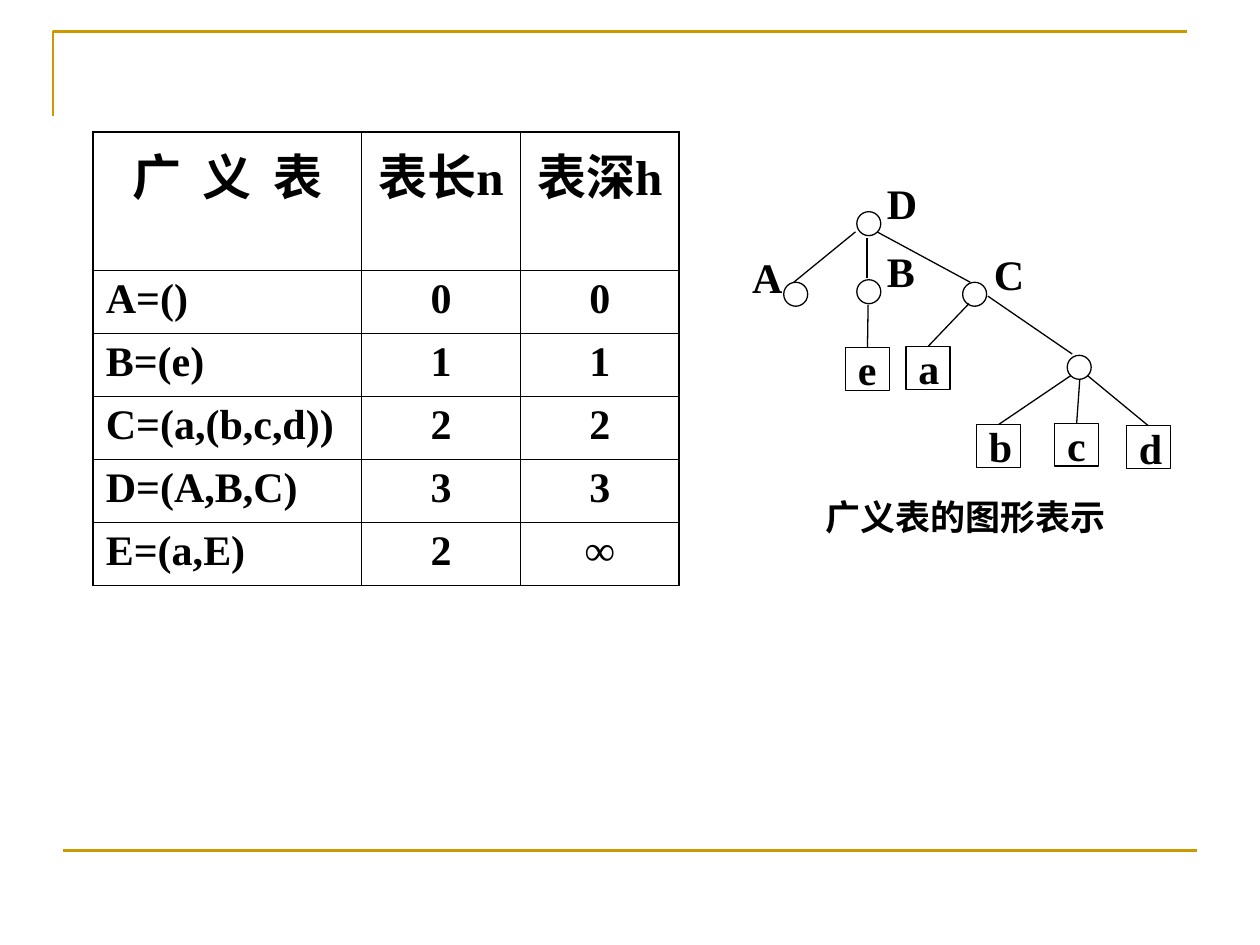
from typing import NamedTuple, Optional

from lxml import etree
from pptx import Presentation
from pptx.dml.color import RGBColor
from pptx.enum.shapes import MSO_CONNECTOR, MSO_SHAPE
from pptx.enum.text import MSO_ANCHOR, PP_ALIGN
from pptx.oxml.ns import qn
from pptx.util import Inches, Pt

LEFT, CENTER = PP_ALIGN.LEFT, PP_ALIGN.CENTER
MIDDLE = MSO_ANCHOR.MIDDLE
RECTANGLE, OVAL = MSO_SHAPE.RECTANGLE, MSO_SHAPE.OVAL
STRAIGHT = MSO_CONNECTOR.STRAIGHT
BLACK, GOLD = "000000", "CC9900"
SERIF, SANS, CHINESE = "Times New Roman", "Arial", "Noto Sans CJK SC"
TOP_SIDE = 0
ATOM_WIDTH, ATOM_HEIGHT, NODE_SIZE = 0.35, 0.34, 0.19
OUTER_BORDER, INNER_BORDER = 1.08, 0.45


class Place(NamedTuple):
    text: str
    left: float
    top: float


class Edge(NamedTuple):
    start: tuple[float, float]
    end: tuple[float, float]
    atom: Optional[str] = None


COLUMN_WIDTHS = (2.13, 1.26, 1.26)
ROW_HEIGHTS = (1.03, 0.5, 0.5, 0.5, 0.5, 0.5)
ROWS = (
    ("广 义 表", "表长n", "表深h"),
    ("A=()", "0", "0"),
    ("B=(e)", "1", "1"),
    ("C=(a,(b,c,d))", "2", "2"),
    ("D=(A,B,C)", "3", "3"),
    ("E=(a,E)", "2", "∞"),
)
ATOMS = (
    Place("a", 7.19, 2.75),
    Place("b", 7.75, 3.37),
    Place("e", 6.71, 2.76),
    Place("c", 8.37, 3.36),
    Place("d", 8.94, 3.38),
)
LABELS = (
    Place("A", 5.87, 2.03),
    Place("B", 6.94, 1.98),
    Place("C", 7.79, 2.0),
    Place("D", 6.94, 1.44),
)
NODES = ((6.22, 2.24), (6.8, 2.22), (7.64, 2.24), (8.47, 2.82), (6.8, 1.68))
EDGES = (
    Edge((6.88, 1.89), (6.88, 2.21)),
    Edge((6.79, 1.84), (6.3, 2.24)),
    Edge((6.96, 1.84), (7.7, 2.24)),
    Edge((7.84, 2.35), (8.51, 2.81)),
    Edge((6.89, 2.42), (6.89, 2.76), "e"),
    Edge((7.69, 2.41), (7.36, 2.75), "a"),
    Edge((8.5, 2.98), (7.92, 3.37), "b"),
    Edge((8.57, 3.01), (8.55, 3.36), "c"),
    Edge((8.63, 2.98), (9.12, 3.38), "d"),
)


def color(value: str) -> RGBColor:
    return RGBColor.from_string(value)


def write_text(frame, text: str, *, size: float = 24, font: str = SERIF,
               align=LEFT, wrap: bool = True, spacing: float = 0) -> None:
    frame.word_wrap = wrap
    paragraph = frame.paragraphs[0]
    paragraph.alignment = align
    run = paragraph.add_run()
    run.text = text
    run.font.size = Pt(size)
    run.font.bold = True
    run.font.name = font
    run.font.color.rgb = color(BLACK)
    properties = run.font._element
    properties.find(qn("a:latin")).addnext(
        etree.Element(qn("a:ea"), typeface=CHINESE))
    if spacing:
        properties.set("spc", str(round(spacing * 100)))


def set_outline(shape, value: str, width: float) -> None:
    shape.line.color.rgb = color(value)
    shape.line.width = Pt(width)


def add_outlined(slide, kind, left: float, top: float, width: float, height: float):
    shape = slide.shapes.add_shape(
        kind, Inches(left), Inches(top), Inches(width), Inches(height))
    shape.shadow.inherit = False
    shape.fill.background()
    set_outline(shape, BLACK, 0.75)
    return shape


def add_line(slide, start: tuple[float, float], end: tuple[float, float],
             value: str = BLACK, width: float = 0.75):
    connector = slide.shapes.add_connector(
        STRAIGHT, *(Inches(length) for length in start + end))
    set_outline(connector, value, width)
    etree.SubElement(connector._element.spPr, qn("a:effectLst"))
    return connector


def add_frame_lines(slide) -> None:
    builder = slide.shapes.build_freeform(Inches(0.42), Inches(0.92))
    builder.add_line_segments(
        [(Inches(0.42), Inches(0.25)), (Inches(9.42), Inches(0.25))], close=False)
    corner = builder.convert_to_shape()
    corner.shadow.inherit = False
    corner.fill.background()
    set_outline(corner, GOLD, 1.5)
    add_line(slide, (0.5, 6.75), (9.5, 6.75), GOLD, 1.5)


def set_borders(cell, widths: dict[str, float]) -> None:
    properties = cell._tc.get_or_add_tcPr()
    for position, (side, width) in enumerate(widths.items()):
        border = etree.Element(qn(f"a:{side}"), w=str(Pt(width)))
        fill = etree.SubElement(border, qn("a:solidFill"))
        etree.SubElement(fill, qn("a:srgbClr"), val=BLACK)
        properties.insert(position, border)


def add_list_table(slide) -> None:
    table = slide.shapes.add_table(
        len(ROWS), len(COLUMN_WIDTHS), Inches(0.74), Inches(1.05),
        Inches(sum(COLUMN_WIDTHS)), Inches(sum(ROW_HEIGHTS))).table
    table.first_row = False
    table.horz_banding = False
    for column, width in zip(table.columns, COLUMN_WIDTHS):
        column.width = Inches(width)
    for row, height in zip(table.rows, ROW_HEIGHTS):
        row.height = Inches(height)
    last_column = len(COLUMN_WIDTHS) - 1
    for row_index, texts in enumerate(ROWS):
        is_header = row_index == 0
        for column_index, text in enumerate(texts):
            is_first = column_index == 0
            cell = table.cell(row_index, column_index)
            cell.fill.background()
            write_text(cell.text_frame, text, size=28 if is_header else 24,
                       align=CENTER if is_header or not is_first else LEFT,
                       spacing=3 if is_header and is_first else 0)
            set_borders(cell, {
                "lnL": OUTER_BORDER if is_first else INNER_BORDER,
                "lnR": OUTER_BORDER if column_index == last_column else INNER_BORDER,
                "lnT": OUTER_BORDER if is_header else INNER_BORDER,
                "lnB": INNER_BORDER,
            })


def add_text_box(slide, place: Place, width: float, height: float, **text_format) -> None:
    box = slide.shapes.add_textbox(
        Inches(place.left), Inches(place.top), Inches(width), Inches(height))
    box.text_frame.vertical_anchor = MIDDLE
    write_text(box.text_frame, place.text, **text_format)


def add_tree(slide) -> None:
    atoms = {}
    for atom in ATOMS:
        shape = add_outlined(
            slide, RECTANGLE, atom.left, atom.top, ATOM_WIDTH, ATOM_HEIGHT)
        shape.text_frame.vertical_anchor = MIDDLE
        write_text(shape.text_frame, atom.text, wrap=False)
        atoms[atom.text] = shape
    for left, top in NODES:
        add_outlined(slide, OVAL, left, top, NODE_SIZE, NODE_SIZE)
    for label in LABELS:
        add_text_box(slide, label, ATOM_WIDTH, ATOM_HEIGHT, wrap=False)
    for edge in EDGES:
        connector = add_line(slide, edge.start, edge.end)
        if edge.atom:
            connector.end_connect(atoms[edge.atom], TOP_SIDE)
    add_text_box(slide, Place("广义表的图形表示", 5.79, 3.89), 3.75, 0.42,
                 size=20, font=SANS, align=CENTER)


def main() -> None:
    presentation = Presentation()
    presentation.slide_width = Inches(10)
    presentation.slide_height = Inches(7.5)
    slide = presentation.slides.add_slide(presentation.slide_layouts[6])
    add_frame_lines(slide)
    add_list_table(slide)
    add_tree(slide)
    presentation.save("out.pptx")


if __name__ == "__main__":
    main()
